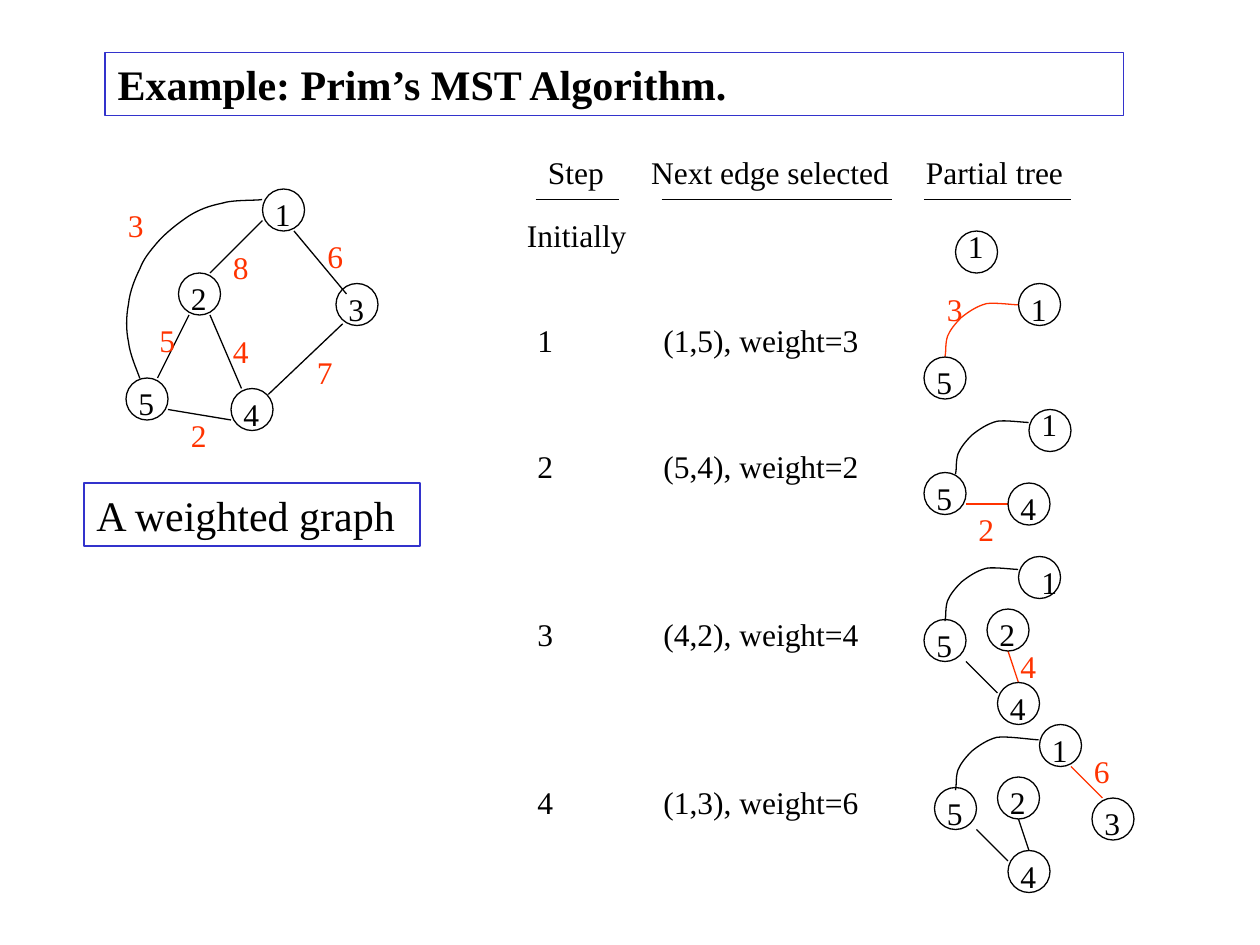
from lxml import etree
from pptx import Presentation
from pptx.dml.color import RGBColor
from pptx.enum.shapes import MSO_CONNECTOR, MSO_SHAPE
from pptx.enum.text import MSO_ANCHOR, MSO_AUTO_SIZE, PP_ALIGN
from pptx.oxml.ns import qn
from pptx.util import Inches, Pt

OVAL, RECT = MSO_SHAPE.OVAL, MSO_SHAPE.RECTANGLE
STRAIGHT = MSO_CONNECTOR.STRAIGHT
GROW, FIXED = MSO_AUTO_SIZE.SHAPE_TO_FIT_TEXT, MSO_AUTO_SIZE.NONE
BLACK, RED, BLUE = "000000", "FF3300", "3333CC"
UNIT = Inches(1) // 12          # the slide is a grid of 120 columns by 90 rows
NODE, ROW = 4, 4.8              # node width and text height in grid units
FRAME = {
    "word_wrap": True,
    "auto_size": GROW,
    "vertical_anchor": MSO_ANCHOR.TOP,
    "margin_left": Inches(0.1),
    "margin_right": Inches(0.1),
    "margin_top": Inches(0.05),
    "margin_bottom": Inches(0.05),
}


def ink(line, hue):
    line.color.rgb = RGBColor.from_string(hue)
    line.width = Pt(0.75)


def write(shape, text, size=18, hue=BLACK, bold=False, stops=()):
    """Fill a shape with one left-aligned line; stops are tabs in inches."""
    frame = shape.text_frame
    for name, value in FRAME.items():
        setattr(frame, name, value)
    para = frame.paragraphs[0]
    para.alignment = PP_ALIGN.LEFT
    para.space_before = Pt(size * 0.625)
    run = para.add_run()
    run.text = text
    look = {"name": "Times New Roman", "size": Pt(size), "bold": bold}
    for name, value in look.items():
        setattr(run.font, name, value)
    run.font.color.rgb = RGBColor.from_string(hue)
    if stops:
        tabs = etree.SubElement(para._p.get_or_add_pPr(), qn("a:tabLst"))
        for stop in stops:
            etree.SubElement(tabs, qn("a:tab"), pos=str(Inches(stop)), algn="l")


deck = Presentation()
deck.slide_width, deck.slide_height = 120 * UNIT, 90 * UNIT
slide = deck.slides.add_slide(deck.slide_layouts[5])
shapes = slide.shapes

# Title and caption boxes
title = shapes.title
title.left, title.top, title.width, title.height = (n * UNIT for n in (10, 5, 97, 6))
write(title, "Example: Prim’s MST Algorithm.", 24, bold=True)
title.text_frame.auto_size = FIXED
note = shapes.add_shape(RECT, 8 * UNIT, 46 * UNIT, 32 * UNIT, 6 * UNIT)
note.shadow.inherit = False
note.fill.background()
write(note, "A weighted graph", 24)
for box in (title, note):
    ink(box.line, BLUE)

# Straight edges and the rules under the headings: x1, y1, x2, y2
lines = {
    BLACK: [
        (51, 19, 59, 19), (63, 19, 85, 19), (88, 19, 102, 19),
        (25, 21, 20, 26), (20, 30, 23, 37), (28, 22, 33, 28),
        (18, 30, 15, 36), (16, 39, 22, 40), (32.64, 30.84, 25.56, 37.56),
        (92, 63, 95, 66), (93, 79, 96, 82), (97, 78, 98, 81),
    ],
    RED: [(92, 48, 96, 48), (96, 62, 97, 65), (102, 73, 105, 76)],
}
for hue, ends in lines.items():
    for end in ends:
        edge = shapes.add_connector(STRAIGHT, *(int(n * UNIT) for n in end))
        ink(edge.line, hue)
        etree.SubElement(edge.element.spPr, qn("a:effectLst"))

# Curved edges 1 to 5: Bezier points in hundredths of an inch from a grid spot
long = [
    (108, 0), (103, 1), (85, 0), (76, 3), (66, 5), (58, 8), (50, 13),
    (41, 19), (31, 27), (25, 34), (19, 41), (14, 47), (11, 55), (7, 63),
    (3, 73), (2, 83), (0, 93), (0, 104), (2, 113), (3, 123), (9, 136), (11, 142),
]
short = [
    (58, 2), (54, 2), (40, 0), (33, 1), (25, 3), (18, 8), (13, 12),
    (8, 17), (4, 22), (2, 27), (0, 33), (1, 40), (0, 43),
]
wide = [(66, 3), (61, 3), (42, 0)] + short[3:]
curves = [
    (12, 19, long, BLACK), (90, 28.8, short, RED), (91, 40, short, BLACK),
    (90, 54, short, BLACK), (91, 70.1, wide, BLACK),
]
for x, y, knots, hue in curves:
    dots = [(int(x * UNIT + Inches(a / 100)), int(y * UNIT + Inches(b / 100)))
            for a, b in knots]
    pen = shapes.build_freeform(*dots[0])
    pen.add_line_segments(dots[1:], close=False)
    arc = pen.convert_to_shape()
    arc.shadow.inherit = False
    arc.fill.background()
    ink(arc.line, hue)
    # Each three line segments become one cubic Bezier segment
    legs = list(arc.element.iter(qn("a:lnTo")))
    for i in range(0, len(legs), 3):
        legs[i].tag = qn("a:cubicBezTo")
        for leg in legs[i + 1:i + 3]:
            legs[i].append(leg[0])
            leg.getparent().remove(leg)

# Nodes: number, column, row, then the shift of the number from its circle
nodes = [
    ("1", 25, 18, 0, 0), ("2", 17, 26, 0, 0), ("3", 32, 27, 0, 0),
    ("4", 22, 37, 0, 0), ("5", 12, 36, 0, 0),
    ("1", 91, 22, 0, -1),
    ("1", 97, 27, 0, 0), ("5", 88, 34, 0, 0),
    ("1", 98, 39, 0, -1), ("5", 88, 45, 0, 0), ("4", 96, 46, 0, 0),
    ("1", 97, 53, 1, 0), ("5", 88, 59, 0, 0), ("2", 94, 58, 0, 0), ("4", 95, 65, 0, 0),
    ("1", 99, 69, 0, 0), ("5", 89, 75, 0, 0), ("2", 95, 74, 0, 0),
    ("4", 96, 81, 0, 0), ("3", 104, 76, 0, 0),
]
labels = []
for text, x, y, dx, dy in nodes:
    ring = shapes.add_shape(OVAL, x * UNIT, y * UNIT, NODE * UNIT, NODE * UNIT)
    ring.shadow.inherit = False
    ring.fill.background()
    ink(ring.line, BLACK)
    labels.append((text, x + dx, y + dy, NODE, BLACK, ()))

# Edge weights
weights = [
    ("3", 11, 19), ("8", 21, 23), ("6", 30, 22), ("5", 14, 30), ("4", 21, 31),
    ("7", 29, 33), ("2", 17, 39),
    ("3", 89, 27), ("2", 92, 48), ("4", 96, 61), ("6", 103, 71),
]
labels += [(text, x, y, NODE, RED, ()) for text, x, y in weights]

# Headings and steps
labels += [
    ("Step\tNext edge selected\tPartial tree", 51, 14, 54, BLACK, (0.82, 3)),
    ("Initially", 49, 20, 33, BLACK, ()),
]
picks = [("(1,5), weight=3", 30), ("(5,4), weight=2", 42),
         ("(4,2), weight=4", 58), ("(1,3), weight=6", 74)]
for step, (pick, y) in enumerate(picks, 1):
    labels.append((f"{step}\t{pick}", 50, y, 36, BLACK, (1,)))

for text, x, y, width, hue, stops in labels:
    box = shapes.add_textbox(x * UNIT, y * UNIT, width * UNIT, int(ROW * UNIT))
    write(box, text, hue=hue, stops=stops)

deck.save("out.pptx")
